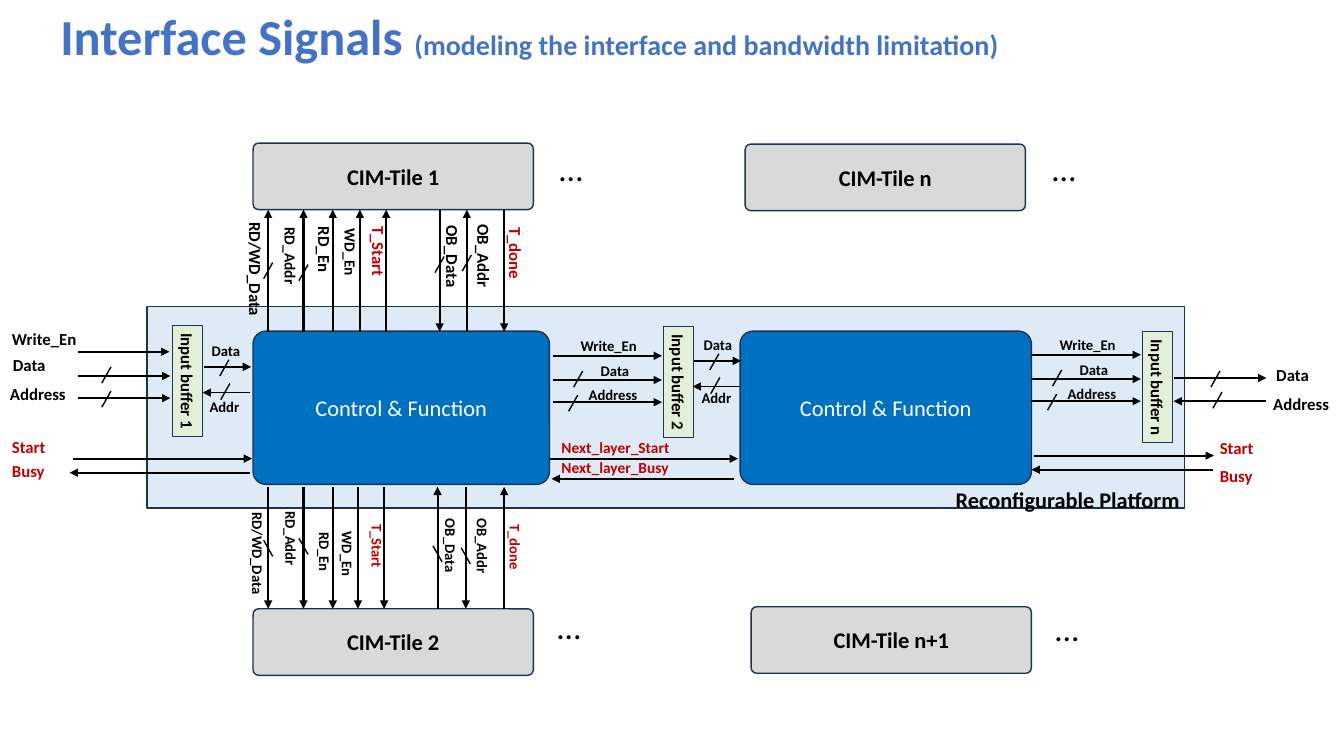
from dataclasses import dataclass

from lxml import etree
from pptx import Presentation
from pptx.dml.color import RGBColor
from pptx.enum.shapes import MSO_CONNECTOR, MSO_SHAPE
from pptx.enum.text import MSO_ANCHOR, PP_ALIGN
from pptx.oxml.ns import qn
from pptx.util import Inches, Pt

STRAIGHT = MSO_CONNECTOR.STRAIGHT
RECT, ROUNDED = MSO_SHAPE.RECTANGLE, MSO_SHAPE.ROUNDED_RECTANGLE
MIDDLE, CENTER = MSO_ANCHOR.MIDDLE, PP_ALIGN.CENTER

BLACK = RGBColor(0x00, 0x00, 0x00)
WHITE = RGBColor(0xFF, 0xFF, 0xFF)
RED = RGBColor(0xC0, 0x00, 0x00)
NAVY = RGBColor(0x1E, 0x32, 0x56)
BLUE = RGBColor(0x00, 0x70, 0xC0)
PALE_BLUE = RGBColor(0xDE, 0xEB, 0xF7)
PALE_GREEN = RGBColor(0xE2, 0xF0, 0xD9)
GREY = RGBColor(0xD9, 0xD9, 0xD9)
TITLE_BLUE = RGBColor(0x44, 0x72, 0xC4)

# Grid: square cells, ten to the inch
COLUMNS, ROWS = 133.3, 75
CELL = Inches(0.1)
FONT = "Calibri"
LINE_ROWS = {10.5: 2.8, 11: 2.9, 12: 3, 16: 3.7, 24: 5}  # label height by text size


@dataclass
class Block:
    left: float
    top: float
    width: float
    height: float
    fill: RGBColor
    text: str = ""
    color: RGBColor = BLACK
    bold: bool = True


@dataclass
class Label:
    text: str
    left: float
    top: float
    width: float
    size: float = 12
    color: RGBColor = BLACK
    bold: bool = True


@dataclass
class Lane:
    """Vertical signal between a tile and its controller."""
    name: str
    column: float
    label_center: float
    label_top: float
    label_width: float
    size: float = 12
    to_tile: bool = True
    slash_row: float = 0
    color: RGBColor = BLACK


prs = Presentation()
prs.slide_width, prs.slide_height = int(COLUMNS * CELL), ROWS * CELL
slide = prs.slides.add_slide(prs.slide_layouts[6])


def cells(*values: float) -> list[int]:
    return [round(value * CELL) for value in values]


def style(run, size: float, color: RGBColor, bold: bool) -> None:
    run.font.name, run.font.size, run.font.bold = FONT, Pt(size), bold
    run.font.color.rgb = color


def draw_block(block: Block, kind=ROUNDED) -> None:
    shape = slide.shapes.add_shape(
        kind, *cells(block.left, block.top, block.width, block.height))
    shape.shadow.inherit = False
    shape.fill.solid()
    shape.fill.fore_color.rgb = block.fill
    shape.line.color.rgb, shape.line.width = NAVY, Pt(1)
    if kind == ROUNDED:
        shape.adjustments[0] = 0.084
    if block.text:
        shape.text_frame.text = block.text
        shape.text_frame.vertical_anchor = MIDDLE
        paragraph = shape.text_frame.paragraphs[0]
        paragraph.alignment = CENTER
        style(paragraph.runs[0], 16, block.color, block.bold)


def draw_label(label: Label, rotation: float = 0) -> None:
    box = slide.shapes.add_textbox(
        *cells(label.left, label.top, label.width, LINE_ROWS[label.size]))
    box.rotation = rotation
    box.text_frame.word_wrap = False
    box.text_frame.text = label.text
    style(box.text_frame.paragraphs[0].runs[0], label.size, label.color, label.bold)


def draw_turned_label(text: str, center: float, top: float, width: float,
                      size: float = 12, color: RGBColor = BLACK) -> None:
    row = top + (width - LINE_ROWS[size]) / 2
    draw_label(Label(text, center - width / 2, row, width, size, color), 90)


def draw_line(x1: float, y1: float, x2: float, y2: float,
              weight: float = 1.5, arrow: bool = True) -> None:
    line = slide.shapes.add_connector(STRAIGHT, *cells(x1, y1, x2, y2))
    line.line.color.rgb, line.line.width = BLACK, Pt(weight)
    if arrow:
        etree.SubElement(line.line._get_or_add_ln(), qn("a:tailEnd"), type="triangle")
    etree.SubElement(line._element.spPr, qn("a:effectLst"))


def draw_slash(x: float, y: float, lean: int = 1) -> None:
    draw_line(x + 0.45, y - 0.8 * lean, x - 0.45, y + 0.8 * lean, 1, False)


def draw_write_bus(left: float, top: float) -> None:
    for row in (0, 2.4, 4.6):
        draw_line(left, top + row, left + 10.85, top + row)
    for name, dx, dy, width in (("Write_En", 1.8, -2.4, 7.9), ("Data", 3.8, 0.1, 4.9),
                                ("Address", 2.6, 2.45, 6.9)):
        draw_label(Label(name, left + dx, top + dy, width, 10.5))
    draw_slash(left + 2.55, top + 2.3)
    draw_slash(left + 2.05, top + 4.7)


def draw_read_port(left: float, top: float, label_left: float, label_drop: float) -> None:
    draw_line(left, top, left + 4.7, top, 1)
    draw_line(left + 4.6, top + 2.55, left - 0.1, top + 2.55, 1)
    draw_label(Label("Data", label_left, top - 2.95, 4.9, 10.5))
    draw_label(Label("Addr", label_left - 0.2, top + label_drop, 5, 10.5))
    draw_slash(left + 2.05, top + 0.1)
    draw_slash(left + 2.15, top + 2.45)


def draw_lanes(lanes: list[Lane], control_row: float, tile_row: float) -> None:
    for lane in lanes:
        ends = (control_row, tile_row) if lane.to_tile else (tile_row, control_row)
        draw_line(lane.column, ends[0], lane.column, ends[1])
        draw_turned_label(lane.name, lane.label_center, lane.label_top,
                          lane.label_width, lane.size, lane.color)
        if lane.slash_row:
            draw_slash(lane.column, lane.slash_row, 1 if tile_row < control_row else -1)


# Platform, controllers and tiles
draw_block(Block(14.6, 30.4, 102.9, 20, PALE_BLUE), RECT)
draw_label(Label("Reconfigurable Platform", 93.8, 47.7, 24.6, 16))
for left, width in ((25.1, 29.4), (73.4, 28.9)):
    draw_block(Block(left, 32.85, width, 15.2, BLUE, "Control & Function", WHITE, False))
for name, left, top in (("CIM-Tile 1", 25.1, 14.2), ("CIM-Tile n", 73.9, 14.3),
                        ("CIM-Tile 2", 25.1, 60.4), ("CIM-Tile n+1", 74.5, 60.2)):
    draw_block(Block(left, top, 27.8, 6.6, GREY, name))
for left, top in ((54.5, 14.2), (103.4, 14.2), (54.3, 59.6), (103.7, 59.8)):
    draw_label(Label("…", left, top, 4.4, 24, bold=False))

# Input buffers
for number, left, top in (("1", 17.1, 32.3), ("2", 65.8, 32.4), ("n", 113.3, 32.9)):
    draw_block(Block(left, top, 3, 11, PALE_GREEN), RECT)
    draw_turned_label(f"Input buffer {number}", left + 1.5, top - 0.2, 11.9)

# Signals between the tiles and the first controller
draw_lanes([
    Lane("RD/WD_Data", 26.6, 25.35, 21.05, 11.5, slash_row=26.85),
    Lane("RD_Addr", 30.1, 28.8, 21.55, 7.8, 11, slash_row=27.05),
    Lane("RD_En", 33, 32.2, 21.5, 6.6),
    Lane("WD_En", 35.7, 34.75, 21.7, 6.7, 11),
    Lane("T_Start", 38.3, 37.55, 21.45, 7.1, color=RED),
    Lane("OB_Data", 43.6, 44.9, 21.4, 8.2, to_tile=False, slash_row=26.25),
    Lane("OB_Addr", 46.3, 48, 21.3, 8.4, slash_row=26.1),
    Lane("T_done", 50, 51.15, 21.55, 7.3, to_tile=False, color=RED),
], 32.9, 20.8)
draw_lanes([
    Lane("RD/WD_Data", 26.6, 25.55, 49.85, 10.3, 10.5, slash_row=54.4),
    Lane("RD_Addr", 30.1, 28.85, 49.75, 10.5, 10.5, slash_row=54.2),
    Lane("RD_En", 33, 32.2, 51.8, 8.4, 10.5),
    Lane("WD_En", 35.5, 34.45, 51.75, 6.5, 10.5),
    Lane("T_Start", 38.1, 37.4, 51, 9, 10.5, color=RED),
    Lane("OB_Data", 43.4, 44.7, 50.5, 10.4, 10.5, False, 54.95),
    Lane("OB_Addr", 46.2, 47.85, 50.45, 10.5, 10.5, slash_row=55.15),
    Lane("T_done", 50, 51.1, 51, 9.2, 10.5, False, color=RED),
], 48.3, 60.4)

# Buses into and out of the buffers
draw_write_bus(54.8, 35.3)
draw_write_bus(102.3, 35.2)
draw_read_port(20.2, 36.4, 20, 2.6)
draw_read_port(68.8, 35.8, 68.8, 2.3)

# Signals at the platform edges and between the controllers
for x1, x2, row in ((7.7, 16.8, 34.9), (7.7, 16.9, 37.3), (7.7, 16.9, 39.5),
                    (7.2, 25, 45.5), (24.8, 6.9, 46.9),
                    (54.6, 73.2, 45.5), (72.8, 54.7, 47.5),
                    (102.6, 120.4, 45.2), (120.3, 102.3, 46.6),
                    (116.4, 125.6, 37.5), (125.6, 116.4, 39.8)):
    draw_line(x1, row, x2, row)
for x, y in ((10.55, 37.2), (10.55, 39.6), (120.55, 37.6), (120.75, 39.7)):
    draw_slash(x, y)
for label in (Label("Write_En", 0.2, 32.1, 8.5), Label("Data", 0.3, 34.7, 5.3),
              Label("Address", 0, 37.6, 7.6),
              Label("Start", 0.2, 42.8, 5.4, color=RED),
              Label("Busy", 0.2, 45.2, 5.3, color=RED),
              Label("Next_layer_Start", 54.7, 43, 12.9, 11, RED),
              Label("Next_layer_Busy", 54.7, 45, 12.8, 11, RED),
              Label("Data", 125.6, 35.7, 5.3), Label("Address", 125.3, 38.6, 7.6),
              Label("Start", 120, 42.9, 5.4, color=RED),
              Label("Busy", 120, 45.7, 5.3, color=RED)):
    draw_label(label)

# Title
title = slide.shapes.add_textbox(*cells(0, 0, COLUMNS, 7.1)).text_frame
title.word_wrap = True
heading = title.paragraphs[0]
heading._p.get_or_add_pPr().set("marL", str(5 * CELL))
for words, size in (("Interface Signals ", 36),
                    ("(modeling the interface and bandwidth limitation)", 20)):
    run = heading.add_run()
    run.text = words
    style(run, size, TITLE_BLUE, True)

prs.save("out.pptx")
